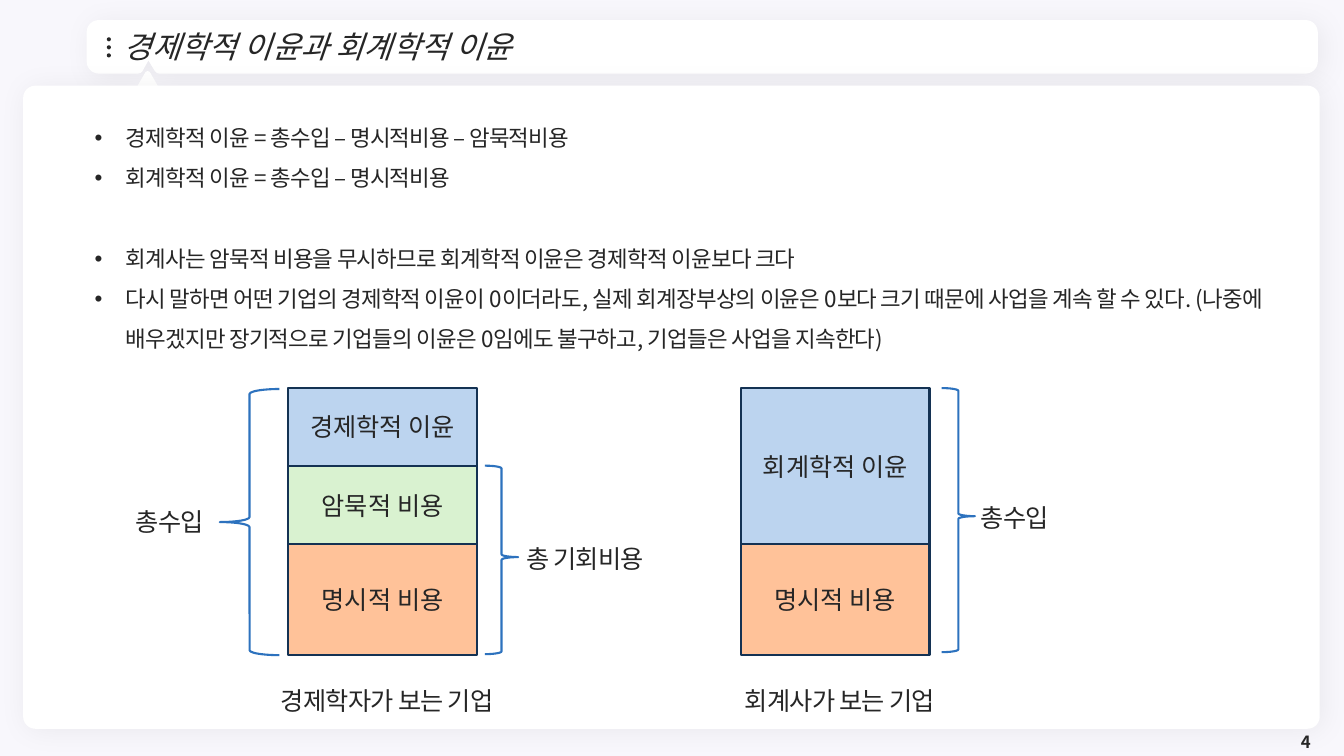
from math import cos, radians, sin

from pptx import Presentation
from pptx.dml.color import RGBColor
from pptx.enum import shapes, text
from pptx.oxml import ns, xmlchemy
from pptx.util import Inches, Pt

FONT = "Noto Sans CJK KR"
INK, WHITE, NAVY, BLUE = "262626", "FFFFFF", "143253", "2D72BE"
SKY, MINT, PEACH = "BCD4EF", "D9F2D0", "FFC299"
KIND = shapes.MSO_SHAPE
LEFT, MID, RIGHT = text.PP_ALIGN.LEFT, text.PP_ALIGN.CENTER, text.PP_ALIGN.RIGHT


def color(code):
    return RGBColor.from_string(code)


def child(parent, tag, **attrs):
    node = xmlchemy.OxmlElement(tag)
    for key, val in attrs.items():
        node.set(key, str(val))
    parent.append(node)
    return node


class Deck:
    def __init__(self):
        self.prs = Presentation()
        self.prs.slide_width, self.prs.slide_height = Inches(13.33), Inches(7.5)
        self.slide = self.prs.slides.add_slide(self.prs.slide_layouts[6])
        self.items = self.slide.shapes
        back = self.slide.background.fill
        back.solid()
        back.fore_color.rgb = color("F8F7FC")

    def paint(self, shape, fill=None, line=None, width=1.5, glow=False):
        shape.shadow.inherit = False
        if fill:
            shape.fill.solid()
            shape.fill.fore_color.rgb = color(fill)
        else:
            shape.fill.background()
        if line:
            shape.line.color.rgb = color(line)
            shape.line.width = Pt(width)
        else:
            shape.line.fill.background()
        if glow:
            effects = shape._element.spPr.find(ns.qn("a:effectLst"))
            shade = child(effects, "a:outerShdw", blurRad=Pt(20), dist=Pt(3),
                          dir=45 * 60000, algn="tl", rotWithShape=0)
            child(child(shade, "a:srgbClr", val="000000"), "a:alpha", val=5000)
        return shape

    def shape(self, kind, at, adj=(), **look):
        item = self.items.add_shape(kind, *map(Inches, at))
        for i, val in enumerate(adj):
            item.adjustments[i] = val
        return self.paint(item, **look)

    def outline(self, points, **look):
        points = [(Inches(x), Inches(y)) for x, y in points]
        maker = self.items.build_freeform(*points[0])
        maker.add_line_segments(points[1:], close=True)
        return self.paint(maker.convert_to_shape(), **look)

    def run(self, para, words, size=18, space=0, bold=False, italic=False):
        run = para.add_run()
        run.text = words
        font = run.font
        font.size, font.name = Pt(size), FONT
        font.bold, font.italic = bold, italic
        font.color.rgb = color(INK)
        props = run._r.get_or_add_rPr()
        child(props, "a:ea", typeface=FONT)
        if space:
            props.set("spc", str(int(space * 100)))

    def label(self, at, words, align=LEFT, middle=False, lead=None, **style):
        frame = self.items.add_textbox(*map(Inches, at)).text_frame
        frame.word_wrap = True
        if middle:
            frame.vertical_anchor = text.MSO_ANCHOR.MIDDLE
        para = frame.paragraphs[0]
        para.alignment = align
        if lead:
            para.line_spacing = lead
        self.run(para, words, **style)

    def bullets(self, at, lines):
        frame = self.items.add_textbox(*map(Inches, at)).text_frame
        frame.word_wrap = True
        for i, (gap, words) in enumerate(lines):
            para = frame.add_paragraph() if i else frame.paragraphs[0]
            props = para._p.get_or_add_pPr()
            props.set("marL", str(Inches(0.41)))
            props.set("indent", str(Inches(-0.31)))
            child(props, "a:buFont", typeface="Arial")
            child(props, "a:buChar", char="•")
            para.line_spacing = 1.5
            if gap:
                para.space_before = Pt(gap)
            self.run(para, words, size=16, space=-0.5)

    def stack(self, left, parts):
        top = 3.85
        for words, fill, end in parts:
            box = self.shape(KIND.RECTANGLE, (left, top, 1.87, end - top),
                             fill=fill, line=NAVY)
            frame = box.text_frame
            frame.word_wrap = True
            frame.vertical_anchor = text.MSO_ANCHOR.MIDDLE
            para = frame.paragraphs[0]
            para.alignment = MID
            self.run(para, words)
            top = end


def arc(x, y, start, size=0.07):
    angles = [radians(start + step) for step in range(0, 91, 15)]
    return [(x + size * cos(a), y + size * sin(a)) for a in angles]


def main():
    deck = Deck()
    notch = [(1.58, 0.68), (1.47, 0.5), (1.37, 0.68)]
    bar = (arc(0.98, 0.32, 180) + arc(12.95, 0.32, 270)
           + arc(12.95, 0.61, 0) + notch + arc(0.98, 0.61, 90))
    deck.outline(bar, fill=WHITE, line=WHITE, width=7.25, glow=True)
    for i in range(3):
        deck.shape(KIND.OVAL, (1.06, 0.37 + 0.08 * i, 0.04, 0.04), fill=INK)
    deck.shape(KIND.ISOSCELES_TRIANGLE, (1.35, 0.73, 0.23, 0.2),
               fill=WHITE, line=WHITE, width=3.75)
    deck.shape(KIND.ROUNDED_RECTANGLE, (0.23, 0.85, 12.86, 6.38), (0.019,),
               fill=WHITE, glow=True)
    deck.label((1.13, 0.35, 11.41, 0.26), "경제학적 이윤과 회계학적 이윤",
               middle=True, lead=0.9, size=22, italic=True)
    deck.label((10.1, 7.23, 3, 0.26), "4", RIGHT, middle=True, size=12, bold=True)
    deck.bullets((0.74, 1.05, 12.31, 2.47), [
        (0, "경제학적 이윤 = 총수입 – 명시적비용 – 암묵적비용"),
        (0, "회계학적 이윤 = 총수입 – 명시적비용"),
        (28.8, "회계사는 암묵적 비용을 무시하므로 회계학적 이윤은 경제학적 이윤보다 크다"),
        (0, "다시 말하면 어떤 기업의 경제학적 이윤이 0이더라도, 실제 회계장부상의 이윤은 "
            "0보다 크기 때문에 사업을 계속 할 수 있다. (나중에 배우겠지만 장기적으로 "
            "기업들의 이윤은 0임에도 불구하고, 기업들은 사업을 지속한다)"),
    ])
    cost = ("명시적 비용", PEACH, 6.5)
    deck.stack(2.86, [("경제학적 이윤", SKY, 4.62), ("암묵적 비용", MINT, 5.4), cost])
    deck.stack(7.35, [("회계학적 이윤", SKY, 5.4), cost])
    deck.shape(KIND.LEFT_BRACE, (2.18, 3.86, 0.59, 2.64), line=BLUE)
    for at in [(4.81, 4.62, 0.33, 1.87), (9.34, 3.85, 0.33, 2.62)]:
        deck.shape(KIND.RIGHT_BRACE, at, (0.083, 0.485), line=BLUE)
    for left, top, width, words, align in [
        (1.25, 4.97, 0.97, "총수입", LEFT),
        (5.12, 5.34, 1.55, "총 기회비용", LEFT),
        (9.63, 4.93, 0.97, "총수입", LEFT),
        (2.5, 6.75, 2.68, "경제학자가 보는 기업", MID),
        (6.99, 6.75, 2.68, "회계사가 보는 기업", MID),
    ]:
        deck.label((left, top, width, 0.4), words, align, space=-0.5)
    deck.prs.save("out.pptx")


if __name__ == "__main__":
    main()
